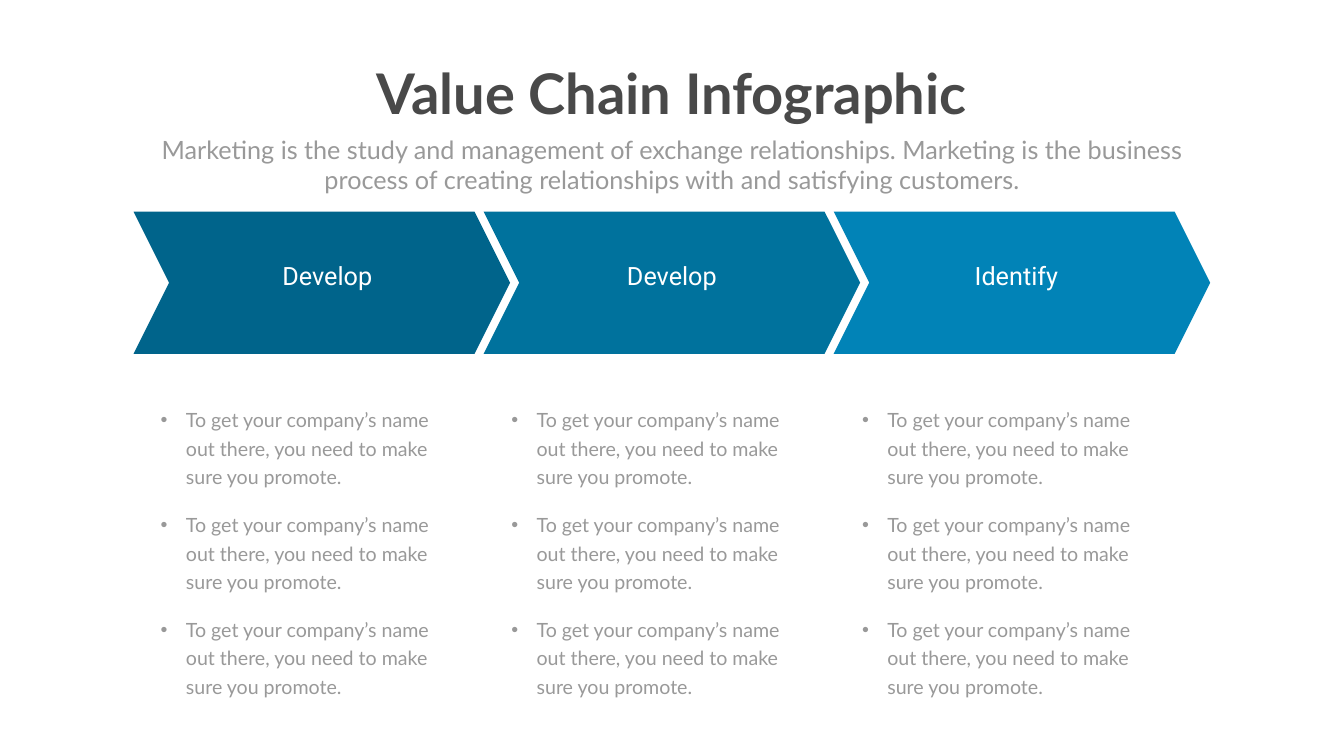
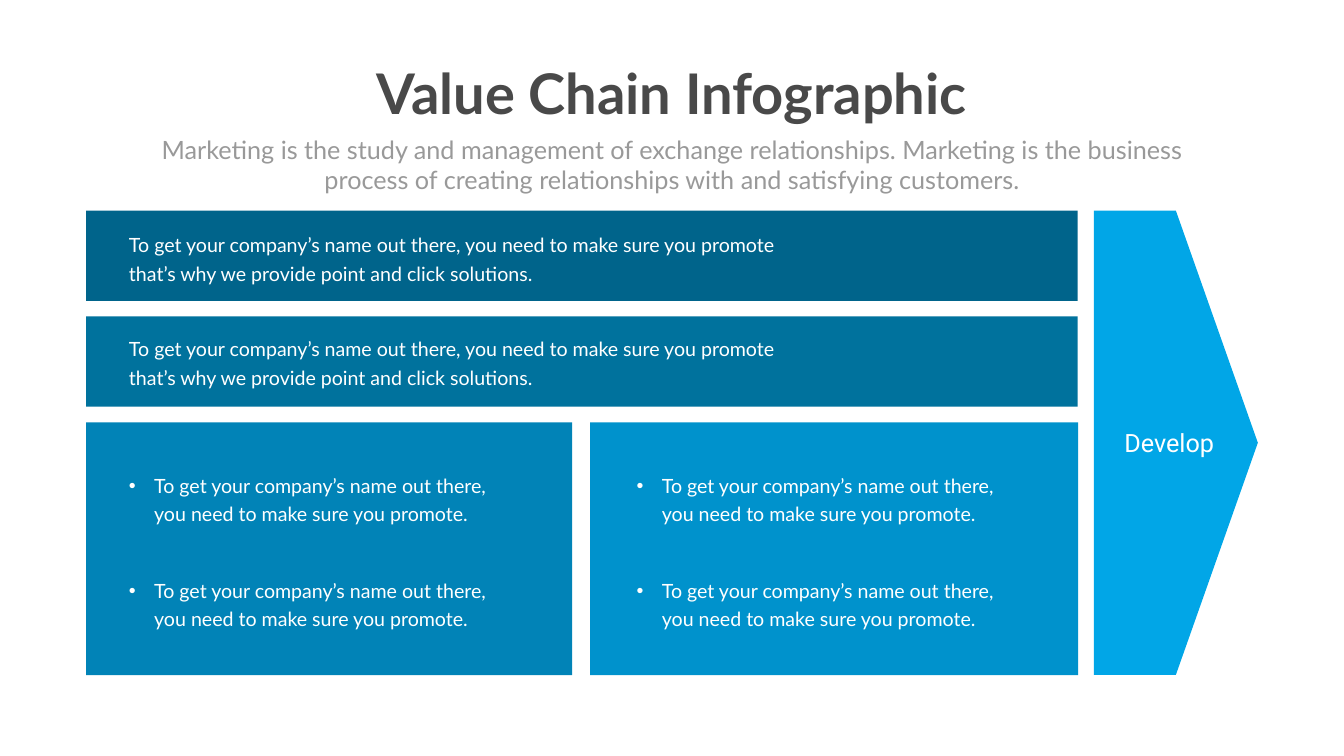
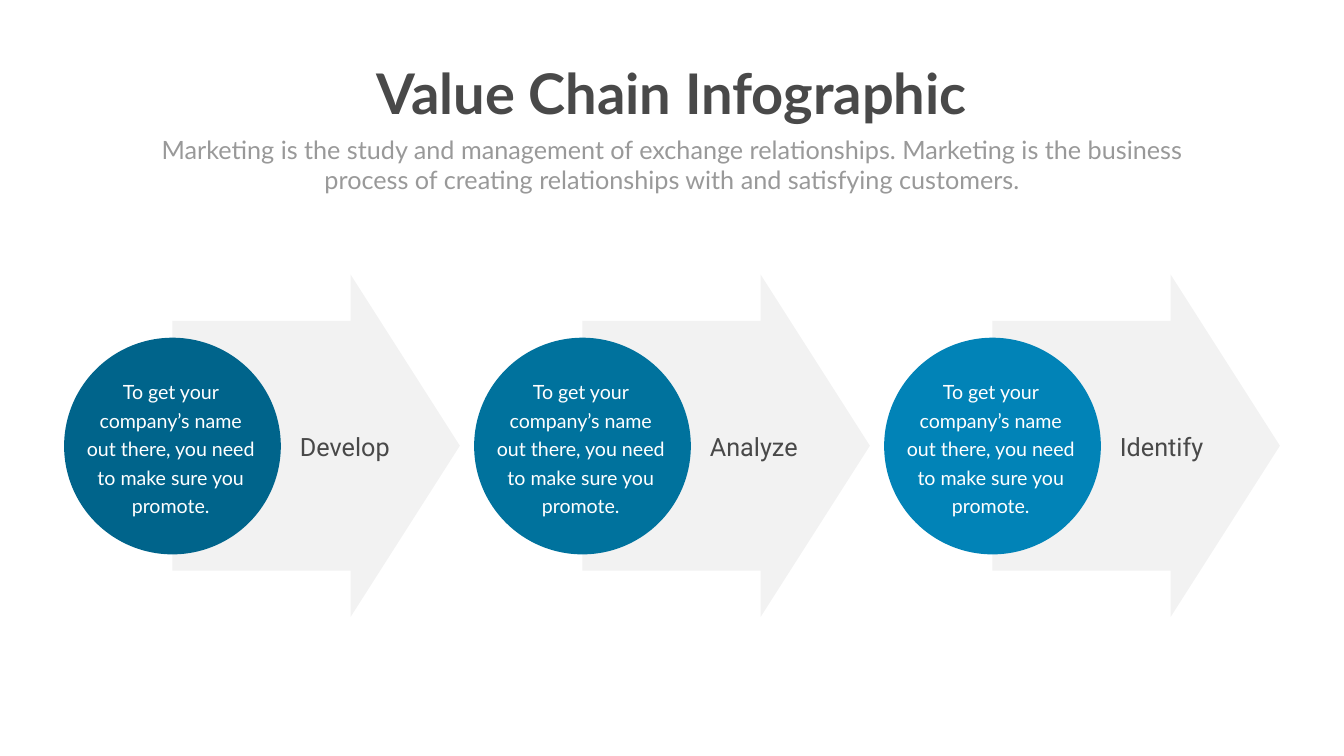
from dataclasses import dataclass, replace

from lxml.etree import SubElement
from pptx import Presentation
from pptx.dml.color import RGBColor
from pptx.enum.shapes import MSO_SHAPE as Preset
from pptx.enum.text import MSO_ANCHOR as Anchor, MSO_AUTO_SIZE as AutoSize, PP_ALIGN as Align
from pptx.oxml.ns import qn
from pptx.shapes.autoshape import Shape
from pptx.slide import Slide
from pptx.util import Cm, Pt

NAVY = RGBColor(0x00, 0x64, 0x8B)
TEAL = RGBColor(0x00, 0x72, 0x9D)
BLUE = RGBColor(0x01, 0x83, 0xB7)
AZURE = RGBColor(0x00, 0x92, 0xCC)
SKY = RGBColor(0x01, 0xA6, 0xE7)
CHARCOAL = RGBColor(0x49, 0x49, 0x49)
TEXT_GRAY = RGBColor(0x99, 0x99, 0x99)
ARROW_GRAY = RGBColor(0x80, 0x80, 0x80)
WHITE = RGBColor(0xFF, 0xFF, 0xFF)
STEP_COLORS = (NAVY, TEAL, BLUE)

BODY_FONT, LABEL_FONT = "Lato", "Roboto"
BODY_SIZE, LABEL_SIZE, TITLE_SIZE = 28, 36, 80
BODY_LEADING = 40.8

TITLE = "Value Chain Infographic"
SUBTITLE = (
    "Marketing is the study and management of exchange relationships. "
    "Marketing is the business process of creating relationships with and satisfying customers."
)
PROMOTE = "To get your company’s name out there, you need to make sure you promote"
SHORT_TEXT = f"{PROMOTE}."
LONG_TEXT = f"{PROMOTE} that’s why we provide point and click solutions."


@dataclass(frozen=True)
class Frame:
    """Position and size in centimetres."""

    left: float
    top: float
    width: float
    height: float

    def moved(self, right: float = 0, down: float = 0) -> "Frame":
        return replace(self, left=self.left + right, top=self.top + down)

    def lengths(self) -> tuple[Cm, ...]:
        return tuple(Cm(value) for value in (self.left, self.top, self.width, self.height))


@dataclass(frozen=True)
class Panel:
    frame: Frame
    color: RGBColor
    preset: Preset = Preset.RECTANGLE


def add_figure(slide: Slide, panel: Panel, adjustments: tuple[float, ...] = ()) -> Shape:
    figure = slide.shapes.add_shape(panel.preset, *panel.frame.lengths())
    figure.shadow.inherit = False
    figure.fill.solid()
    figure.fill.fore_color.rgb = panel.color
    figure.line.fill.background()
    for index, value in enumerate(adjustments):
        figure.adjustments[index] = value
    return figure


def set_opacity(figure: Shape, percent: int) -> None:
    color = figure.fill._xPr.find(f"{qn('a:solidFill')}/{qn('a:srgbClr')}")
    SubElement(color, qn("a:alpha"), val=str(percent * 1000))


def add_text(
    slide: Slide,
    text: str,
    frame: Frame,
    *,
    size: float = BODY_SIZE,
    color: RGBColor = WHITE,
    font: str = BODY_FONT,
    bold: bool = False,
    align: Align = Align.LEFT,
    leading: float | None = None,
    bullet: bool = False,
    wrap: bool = True,
) -> None:
    box = slide.shapes.add_textbox(*frame.lengths())
    box.text_frame.word_wrap = wrap
    box.text_frame.auto_size = AutoSize.SHAPE_TO_FIT_TEXT
    box.text_frame.vertical_anchor = Anchor.TOP
    para = box.text_frame.paragraphs[0]
    if bullet:
        properties = para._p.get_or_add_pPr()
        properties.set("marL", str(Cm(1.27)))
        properties.set("indent", str(-Cm(1.27)))
        SubElement(properties, qn("a:buFont"), typeface="Arial")
        SubElement(properties, qn("a:buChar"), char="•")
    para.alignment = align
    if leading:
        para.line_spacing = Pt(leading)
    span = para.add_run()
    span.text = text
    span.font.size = Pt(size)
    span.font.name = font
    span.font.bold = bold
    span.font.color.rgb = color


def add_label(
    slide: Slide, text: str, frame: Frame, color: RGBColor = WHITE, align: Align = Align.CENTER
) -> None:
    add_text(slide, text, frame, size=LABEL_SIZE, font=LABEL_FONT, color=color, align=align)


def add_bullets(slide: Slide, first: Frame, count: int, color: RGBColor) -> None:
    for row in range(count):
        frame = first.moved(down=row * 5.28)
        add_text(slide, SHORT_TEXT, frame, color=color, leading=BODY_LEADING, bullet=True)


def add_heading(slide: Slide) -> None:
    add_text(slide, TITLE, Frame(18.31, 2.84, 31.09, 3.68), size=TITLE_SIZE,
             color=CHARCOAL, bold=True, align=Align.CENTER, wrap=False)
    add_text(slide, SUBTITLE, Frame(7.42, 6.63, 52.88, 3.33), size=LABEL_SIZE,
             color=TEXT_GRAY, align=Align.CENTER)


def build_chevrons(slide: Slide) -> None:
    chevron = Frame(6.73, 10.67, 18.97, 7.16)
    label_frame = Frame(11.73, 13, 9.53, 1.8)
    bullets = Frame(7.85, 20.19, 15.29, 4.5)
    for column, (label, color) in enumerate(zip(("Develop", "Develop", "Identify"), STEP_COLORS)):
        panel = Panel(chevron.moved(right=column * 17.64), color, Preset.CHEVRON)
        add_figure(slide, panel, (0.25,))
        add_label(slide, label, label_frame.moved(right=column * 17.36))
        add_bullets(slide, bullets.moved(right=column * 17.67), 3, TEXT_GRAY)


def build_blocks(slide: Slide) -> None:
    bar = Frame(4.34, 10.62, 49.96, 4.55)
    panels = (
        Panel(Frame(55.12, 10.62, 8.26, 23.39), SKY, Preset.PENTAGON),
        Panel(bar, NAVY),
        Panel(bar.moved(down=5.33), TEAL),
        Panel(Frame(4.34, 21.29, 24.49, 12.73), BLUE),
        Panel(Frame(29.74, 21.29, 24.59, 12.73), AZURE),
    )
    for panel in panels:
        add_figure(slide, panel)
    for top in (11.38, 16.61):
        add_text(slide, LONG_TEXT, Frame(6.25, top, 33.55, 3.02), leading=BODY_LEADING)
    for left in (6.25, 31.83):
        add_bullets(slide, Frame(left, 23.5, 18.82, 3.02), 2, WHITE)
    add_label(slide, "Develop", Frame(54.15, 21.41, 9.53, 1.8))


def build_arrows(slide: Slide) -> None:
    arrow_frame = Frame(8.69, 13.84, 14.48, 17.25)
    circle = Frame(3.23, 17.02, 10.92, 10.92)
    label_frame = Frame(14.86, 21.59, 6.6, 1.8)
    circle_text = Frame(4.04, 18.77, 9.12, 7.42)
    for column, (label, color) in enumerate(zip(("Develop", "Analyze", "Identify"), STEP_COLORS)):
        offset = column * 20.66
        panel = Panel(arrow_frame.moved(right=offset), ARROW_GRAY, Preset.RIGHT_ARROW)
        arrow = add_figure(slide, panel, (0.73, 0.38))
        set_opacity(arrow, 10)
        add_figure(slide, Panel(circle.moved(right=offset), color, Preset.OVAL))
        add_label(slide, label, label_frame.moved(right=offset), CHARCOAL, Align.LEFT)
        add_text(slide, SHORT_TEXT, circle_text.moved(right=offset),
                 align=Align.CENTER, leading=BODY_LEADING)


def main() -> None:
    deck = Presentation()
    deck.slide_width, deck.slide_height = Cm(67.72), Cm(38.1)
    for build in (build_chevrons, build_blocks, build_arrows):
        page = deck.slides.add_slide(deck.slide_layouts[6])
        build(page)
        add_heading(page)
    deck.save("out.pptx")


if __name__ == "__main__":
    main()
